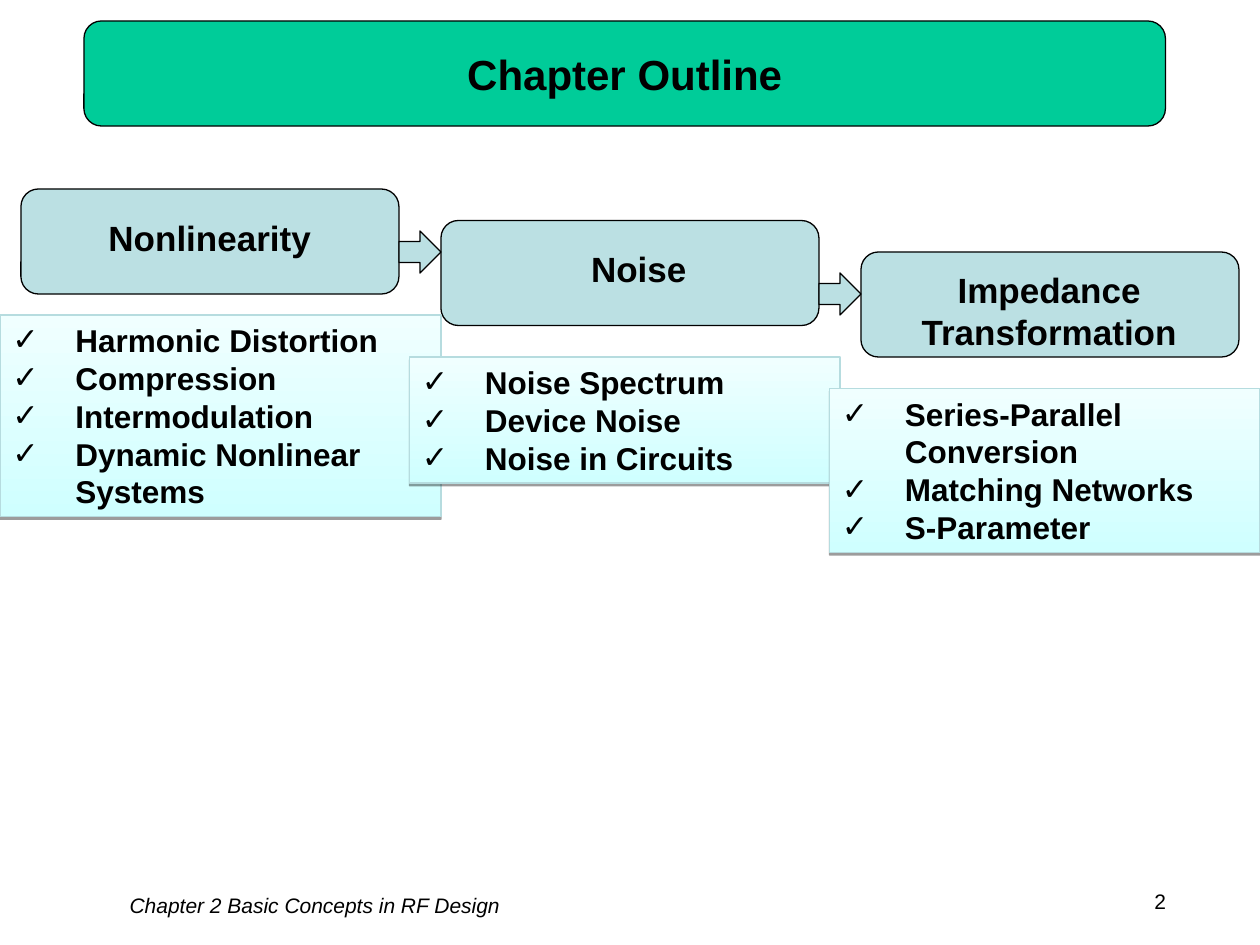
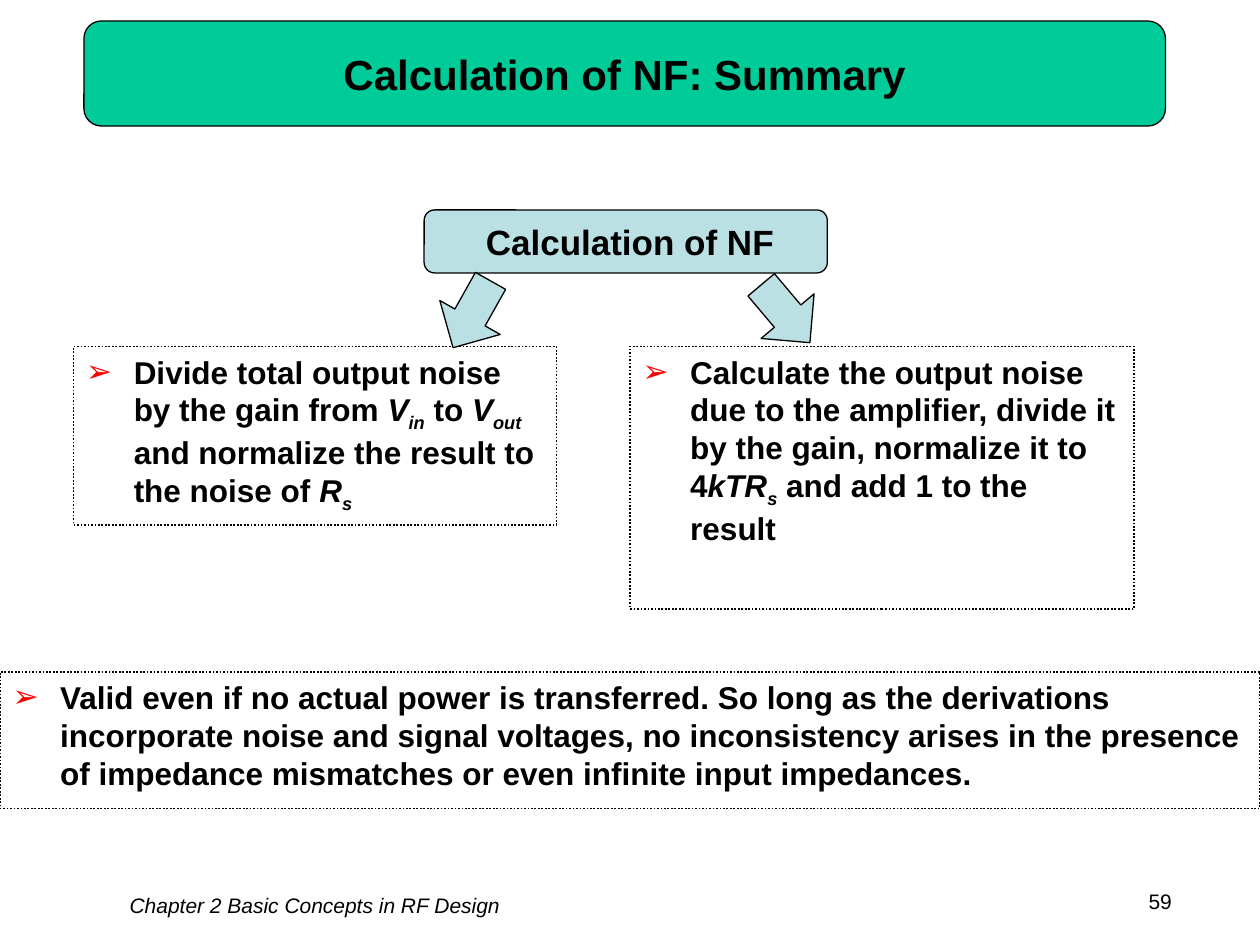
from dataclasses import dataclass

from lxml.etree import SubElement
from pptx import Presentation
from pptx.dml.color import RGBColor
from pptx.enum.dml import MSO_LINE
from pptx.enum.shapes import MSO_SHAPE
from pptx.enum.text import MSO_ANCHOR, PP_ALIGN
from pptx.oxml.ns import qn
from pptx.shapes.autoshape import Shape
from pptx.slide import Slide
from pptx.util import Inches, Pt

# Shared look
BLACK = RGBColor(0, 0, 0)
RED = RGBColor(0xFF, 0, 0)
GREEN = RGBColor(0, 0xCC, 0x99)
BLUE = RGBColor(0xBB, 0xE0, 0xE3)
EDGE = RGBColor(0xB6, 0xDC, 0xDF)
DEEP = RGBColor(0xCF, 0xFF, 0xFF)
PALE = RGBColor(0xF0, 0xFF, 0xFF)
FONT = "Arial"
FOOTER = "Chapter 2 Basic Concepts in RF Design"

# Grid: 120 columns by 90 rows
WIDTH, HEIGHT = Inches(10), Inches(7.5)
COL, ROW = WIDTH / 120, HEIGHT / 90


@dataclass(frozen=True)
class Area:
    col: float
    row: float
    cols: float
    rows: float

    def emu(self) -> list[int]:
        return [round(self.col * COL), round(self.row * ROW),
                round(self.cols * COL), round(self.rows * ROW)]


@dataclass(frozen=True)
class Head:
    box: Area
    label: Area
    text: str


@dataclass(frozen=True)
class Panel:
    area: Area
    items: tuple[str, ...]


@dataclass(frozen=True)
class Arrow:
    area: Area
    kind: MSO_SHAPE = MSO_SHAPE.RIGHT_ARROW
    turn: float = 0


HEADS = [
    Head(Area(2, 18, 36, 10), Area(9.12, 20, 21.72, 5.28), "Nonlinearity"),
    Head(Area(42, 21, 36, 10), Area(55.08, 23, 11.52, 5.28), "Noise"),
    Head(Area(82, 24, 36, 10), Area(86, 25, 27.84, 9.24),
         "Impedance\nTransformation"),
]
LINKS = [Arrow(Area(38, 22, 4, 4)), Arrow(Area(78, 26, 4, 4))]
LISTS = [
    Panel(Area(0, 30, 42, 19.2),
          ("Harmonic Distortion", "Compression", "Intermodulation",
           "Dynamic Nonlinear Systems")),
    Panel(Area(39, 34, 41, 12),
          ("Noise Spectrum", "Device Noise", "Noise in Circuits")),
    Panel(Area(79, 37, 41, 15.6),
          ("Series-Parallel Conversion", "Matching Networks", "S-Parameter")),
]

ROOT = Head(Area(40.4, 20, 38.4, 6), Area(38, 20.4, 44, 5.28),
            "Calculation of NF")
FORKS = [
    Arrow(Area(41.64, 26.28, 6.6, 7.3), MSO_SHAPE.DOWN_ARROW, 29.3),
    Arrow(Area(71.52, 26.28, 6.6, 7.2), MSO_SHAPE.DOWN_ARROW, 319.9),
]
NOTES = [
    Panel(Area(7, 33, 46, 17),
          ("Divide total output noise by the gain from *V_in* to *V_out* "
           "and normalize the result to the noise of *R_s*",)),
    Panel(Area(60, 33, 48, 25),
          ("Calculate the output noise due to the amplifier, divide it by "
           "the gain, normalize it to 4*kTR_s* and add 1 to the result",)),
    Panel(Area(0, 64, 120, 13),
          ("Valid even if no actual power is transferred. So long as the "
           "derivations incorporate noise and signal voltages, no "
           "inconsistency arises in the presence of impedance mismatches or "
           "even infinite input impedances.",)),
]


def write(shape: Shape, text: str, *, size: int = 18, bold: bool = True,
          italic: bool = False, align: PP_ALIGN = PP_ALIGN.CENTER,
          anchor: MSO_ANCHOR = MSO_ANCHOR.TOP, wrap: bool = True,
          mark: str = "", tint: RGBColor = BLACK, indent: float = 0) -> None:
    """Fill a shape; *x_y* sets x in italics with y as its subscript."""
    frame = shape.text_frame
    frame.word_wrap = wrap
    frame.vertical_anchor = anchor
    for num, line in enumerate(text.split("\n")):
        para = frame.add_paragraph() if num else frame.paragraphs[0]
        para.alignment = align
        if mark:
            add_mark(para, mark, tint, indent)
        for part, chunk in enumerate(line.split("*")):
            for low, piece in enumerate(chunk.split("_")):
                if not piece:
                    continue
                run = para.add_run()
                run.text = piece
                font = run.font
                font.name, font.size, font.bold = FONT, Pt(size), bold
                font.italic = italic or part % 2 == 1
                font.color.rgb = BLACK
                if low:
                    run._r.get_or_add_rPr().set("baseline", "-25000")


def add_mark(para, mark: str, tint: RGBColor, indent: float) -> None:
    props = para._p.get_or_add_pPr()
    props.set("marL", str(Inches(indent)))
    props.set("indent", str(-Inches(indent)))
    hue = SubElement(props, qn("a:buClr"))
    SubElement(hue, qn("a:srgbClr"), val=str(tint))
    SubElement(props, qn("a:buFont"), typeface=FONT)
    SubElement(props, qn("a:buChar"), char=mark)


def draw(slide: Slide, area: Area, kind: MSO_SHAPE = MSO_SHAPE.RECTANGLE,
         fill: RGBColor | None = None, line: RGBColor = BLACK,
         weight: float = 0.75) -> Shape:
    shape = slide.shapes.add_shape(kind, *area.emu())
    shape.shadow.inherit = False
    if fill is None:
        shape.fill.background()
    else:
        shape.fill.solid()
        shape.fill.fore_color.rgb = fill
    shape.line.color.rgb = line
    shape.line.width = Pt(weight)
    return shape


def add_text(slide: Slide, area: Area, text: str, **style) -> None:
    write(slide.shapes.add_textbox(*area.emu()), text, **style)


def add_head(slide: Slide, head: Head) -> None:
    draw(slide, head.box, MSO_SHAPE.ROUNDED_RECTANGLE, BLUE)
    add_text(slide, head.label, head.text, size=20, wrap=False)


def add_arrow(slide: Slide, arrow: Arrow) -> None:
    draw(slide, arrow.area, arrow.kind, BLUE).rotation = arrow.turn


def add_list(slide: Slide, panel: Panel) -> None:
    """Tinted panel with check marks and a thin shadow below."""
    shape = draw(slide, panel.area, line=EDGE)
    shape.fill.gradient()
    shape.fill.gradient_angle = 90
    for stop, hue in zip(shape.fill.gradient_stops, (DEEP, PALE)):
        stop.color.rgb = hue
    effect = shape._element.spPr.find(qn("a:effectLst"))
    shade = SubElement(effect, qn("a:outerShdw"), blurRad="0",
                       dist=str(Pt(1.6)), dir="5400000", rotWithShape="0")
    hue = SubElement(shade, qn("a:srgbClr"), val=str(BLACK))
    SubElement(hue, qn("a:alpha"), val="38000")
    write(shape, "\n".join(panel.items), align=PP_ALIGN.LEFT,
          mark="✓", indent=0.5)


def add_note(slide: Slide, panel: Panel) -> None:
    """Dotted frame with a red arrowhead bullet."""
    shape = draw(slide, panel.area, weight=1)
    shape.line.dash_style = MSO_LINE.ROUND_DOT
    write(shape, "\n".join(panel.items), align=PP_ALIGN.LEFT,
          mark="➢", tint=RED, indent=0.38)


def add_page(deck, title: str, page: int) -> Slide:
    """Blank slide with title band, footer and page number."""
    slide = deck.slides.add_slide(deck.slide_layouts[6])
    band = draw(slide, Area(8, 2, 103, 10), MSO_SHAPE.ROUNDED_RECTANGLE, GREEN)
    write(band, title, size=24, anchor=MSO_ANCHOR.MIDDLE)
    add_text(slide, Area(1, 84.4, 58, 3.6), FOOTER,
             size=12, bold=False, italic=True)
    add_text(slide, Area(101, 84, 19, 3.6), str(page), size=12, bold=False)
    return slide


def main() -> None:
    deck = Presentation()
    deck.slide_width, deck.slide_height = WIDTH, HEIGHT

    # Chapter outline
    slide = add_page(deck, "Chapter Outline", 2)
    for head in HEADS:
        add_head(slide, head)
    for arrow in LINKS:
        add_arrow(slide, arrow)
    for panel in LISTS:
        add_list(slide, panel)

    # Noise figure summary
    slide = add_page(deck, "Calculation of NF: Summary", 59)
    add_head(slide, ROOT)
    for panel in NOTES:
        add_note(slide, panel)
    for arrow in FORKS:
        add_arrow(slide, arrow)

    deck.save("out.pptx")


if __name__ == "__main__":
    main()
